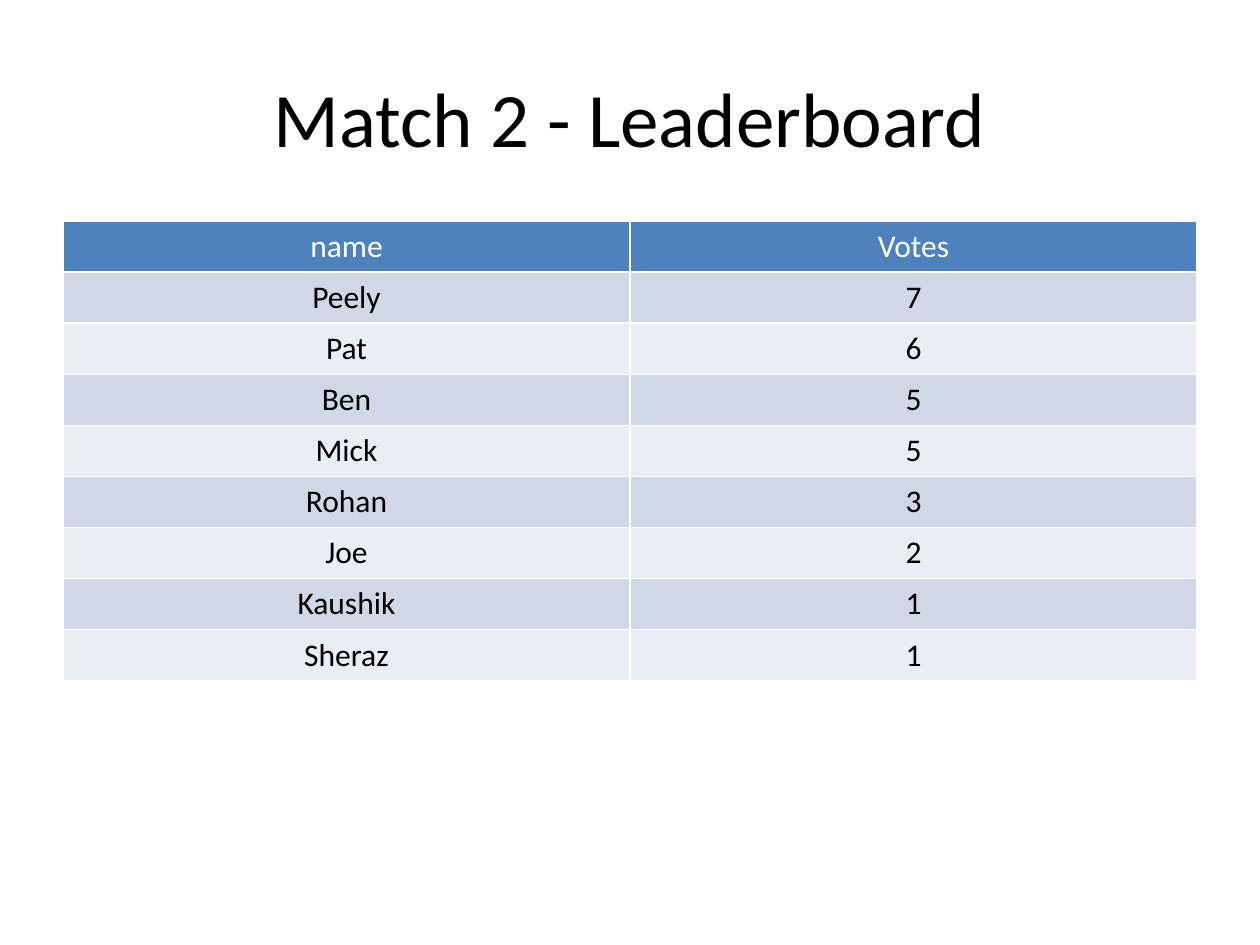
from dataclasses import dataclass

from lxml.etree import SubElement
from pptx import Presentation
from pptx.dml.color import RGBColor
from pptx.enum.text import MSO_ANCHOR, PP_ALIGN
from pptx.oxml.ns import qn
from pptx.util import Emu, Pt

TITLE = "Match 2 - Leaderboard"
HEADER = ("name", "Votes")
VOTES = [
    ("Peely", 7),
    ("Pat", 6),
    ("Ben", 5),
    ("Mick", 5),
    ("Rohan", 3),
    ("Joe", 2),
    ("Kaushik", 1),
    ("Sheraz", 1),
]


@dataclass(frozen=True)
class Theme:
    font: str = "Calibri"
    title_size: int = 44
    cell_size: int = 18
    border_width: int = 1
    text: str = "000000"
    white: str = "FFFFFF"
    header: str = "4F81BD"
    bands: tuple = ("D0D8E8", "E9EDF4")


THEME = Theme()
SLIDE = (1260, 945)
TITLE_BOX = (63, 38, 1134, 158)
TABLE_LEFT, TABLE_TOP, TABLE_WIDTH, ROW_HEIGHT = 63, 221, 1134, 51
EMU_PER_PX = 914400 / 126


def px(value):
    return Emu(round(value * EMU_PER_PX))


def write(tf, text, size, color):
    p = tf.paragraphs[0]
    p.alignment = PP_ALIGN.CENTER
    r = p.add_run()
    r.text = text
    r.font.name = THEME.font
    r.font.size = Pt(size)
    r.font.bold = False
    r.font.color.rgb = RGBColor.from_string(color)


def add_borders(cell):
    tc_pr = cell._tc.get_or_add_tcPr()
    for index, side in enumerate(("lnL", "lnR", "lnT", "lnB")):
        ln = tc_pr.makeelement(qn(f"a:{side}"), {"w": str(Pt(THEME.border_width))})
        fill = SubElement(ln, qn("a:solidFill"))
        SubElement(fill, qn("a:srgbClr"), val=THEME.white)
        tc_pr.insert(index, ln)


def add_title(s):
    sp = s.shapes.title
    sp.left, sp.top, sp.width, sp.height = map(px, TITLE_BOX)
    tf = sp.text_frame
    tf.word_wrap = True
    tf.vertical_anchor = MSO_ANCHOR.MIDDLE
    write(tf, TITLE, THEME.title_size, THEME.text)


def add_leaderboard(s):
    rows = [HEADER, *VOTES]
    box = (TABLE_LEFT, TABLE_TOP, TABLE_WIDTH, ROW_HEIGHT * len(rows))
    table = s.shapes.add_table(len(rows), len(HEADER), *map(px, box)).table
    for column in table.columns:
        column.width = px(TABLE_WIDTH / len(HEADER))
    for i, values in enumerate(rows):
        table.rows[i].height = px(ROW_HEIGHT)
        fill = THEME.bands[(i - 1) % 2] if i else THEME.header
        color = THEME.text if i else THEME.white
        for j, value in enumerate(values):
            cell = table.cell(i, j)
            cell.fill.solid()
            cell.fill.fore_color.rgb = RGBColor.from_string(fill)
            add_borders(cell)
            write(cell.text_frame, str(value), THEME.cell_size, color)


def main():
    prs = Presentation()
    prs.slide_width, prs.slide_height = map(px, SLIDE)
    s = prs.slides.add_slide(prs.slide_layouts[5])
    add_title(s)
    add_leaderboard(s)
    prs.save("out.pptx")


if __name__ == "__main__":
    main()
